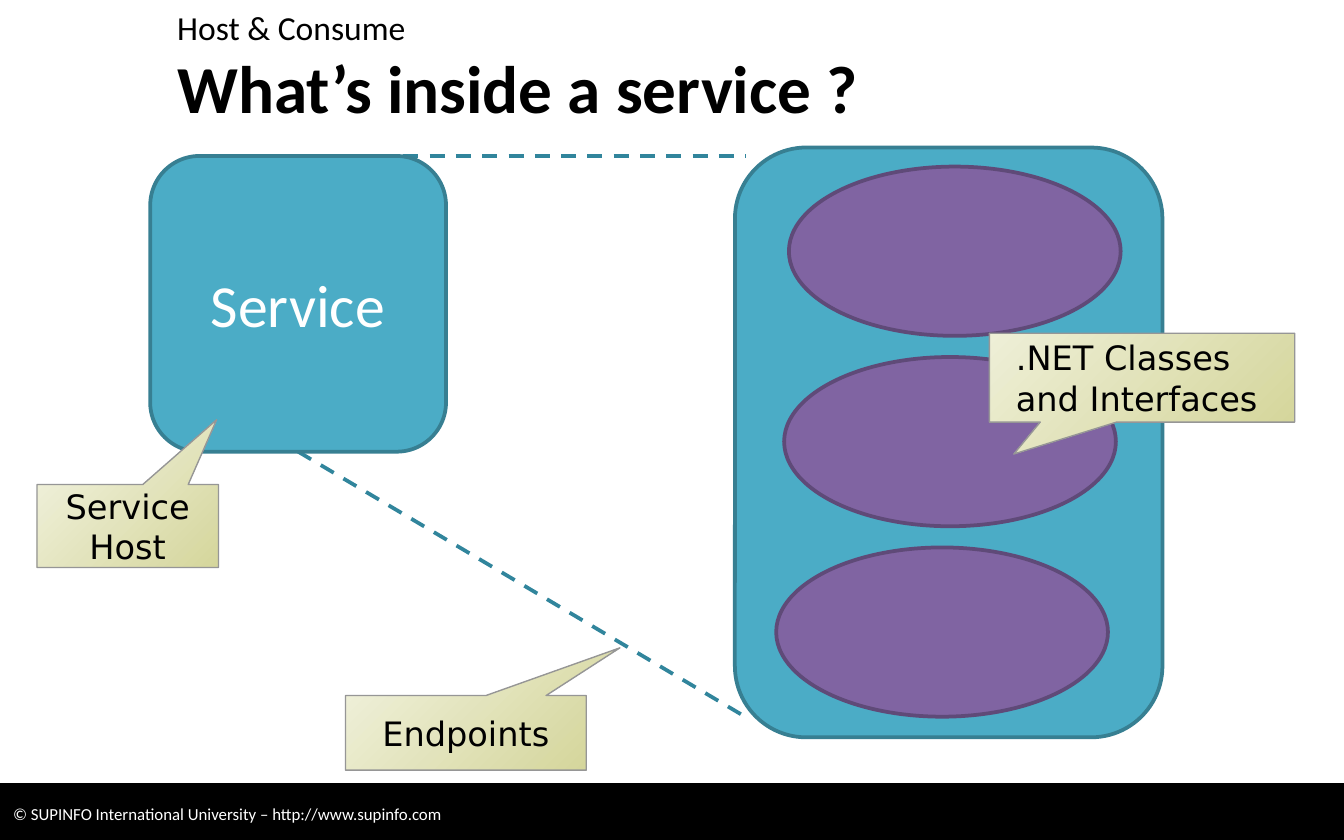
import pptx
import pptx.dml.color
import pptx.enum.dml
import pptx.enum.shapes
import pptx.enum.text
import pptx.oxml.ns
import pptx.util
from lxml import etree

Cm, Pt = pptx.util.Cm, pptx.util.Pt
SHAPE = pptx.enum.shapes.MSO_SHAPE
ALIGN = pptx.enum.text.PP_ALIGN
ANCHOR = pptx.enum.text.MSO_ANCHOR

COLORS = {
    "black": "000000", "white": "FFFFFF",
    "teal": "4BACC6", "teal_edge": "377F92", "dash": "31859C",
    "purple": "8064A2", "purple_edge": "5F4A78",
    "note_light": "EEEFD7", "note_dark": "D5D69C", "note_edge": "969696",
}


def rgb(name):
    return pptx.dml.color.RGBColor.from_string(COLORS[name])


def write(frame, lines, size, color="black", font="Calibri", bold=False,
          align=ALIGN.LEFT, anchor=ANCHOR.MIDDLE):
    frame.word_wrap = True
    frame.vertical_anchor = anchor
    for i, line in enumerate(lines):
        paragraph = frame.paragraphs[0] if i == 0 else frame.add_paragraph()
        paragraph.text = line
        paragraph.alignment = align
        paragraph.font.size = Pt(size)
        paragraph.font.name = font
        paragraph.font.bold = bold
        paragraph.font.color.rgb = rgb(color)


def add_block(slide, kind, box, fill, edge, width=2):
    block = slide.shapes.add_shape(kind, *map(Cm, box))
    block.shadow.inherit = False
    if fill:
        block.fill.solid()
        block.fill.fore_color.rgb = rgb(fill)
    block.line.color.rgb = rgb(edge)
    block.line.width = Pt(width)
    return block


def add_heading(slide, box):
    left, top, width, height = box
    topic_height = 0.94
    title = slide.shapes.add_textbox(
        Cm(left), Cm(top + topic_height), Cm(width), Cm(height - topic_height))
    write(title.text_frame, ["What’s inside a service ?"], 36, bold=True)
    topic = slide.shapes.add_textbox(
        Cm(left), Cm(top), Cm(width), Cm(topic_height))
    write(topic.text_frame, ["Host & Consume"], 18, anchor=ANCHOR.TOP)


def add_footer(slide, box):
    footer = add_block(slide, SHAPE.RECTANGLE, box, "black", "black", 0.75)
    write(footer.text_frame,
          ["© SUPINFO International University – http://www.supinfo.com"],
          9, "white")


def add_inside(slide, box):
    """Opened-up service with its three classes."""
    left, top = box[:2]
    add_block(slide, SHAPE.ROUNDED_RECTANGLE, box, "teal", "teal_edge")
    for row, indent in enumerate((1.02, 0.93, 0.78)):
        oval = (left + indent, top + 0.36 + 3.6 * row, 6.27, 3.2)
        add_block(slide, SHAPE.OVAL, oval, "purple", "purple_edge")


def add_zoom_lines(slide, service, inside):
    """Dashed lines from the service's top and bottom to the opened view."""
    left, top, width, height = service
    start_x, end_x = left + width / 2, inside[0] + 0.21
    ends = ((top, top), (top + height, inside[1] + inside[3] - 0.38))
    for start_y, end_y in ends:
        ray = slide.shapes.add_connector(
            pptx.enum.shapes.MSO_CONNECTOR.STRAIGHT,
            Cm(start_x), Cm(start_y), Cm(end_x), Cm(end_y))
        ray.line.color.rgb = rgb("dash")
        ray.line.width = Pt(2)
        ray.line.dash_style = pptx.enum.dml.MSO_LINE.DASH
        etree.SubElement(ray._element.spPr, pptx.oxml.ns.qn("a:effectLst"))


def add_service(slide, box):
    service = add_block(
        slide, SHAPE.ROUNDED_RECTANGLE, box, "teal", "teal_edge")
    write(service.text_frame, ["Service"], 32, "white", align=ALIGN.CENTER)


def add_note(slide, box, tip, lines, align=ALIGN.CENTER):
    note = add_block(
        slide, SHAPE.RECTANGULAR_CALLOUT, box, None, "note_edge", 0.75)
    note.adjustments[0], note.adjustments[1] = tip
    note.fill.gradient()
    note.fill.gradient_angle = 315
    stops = zip(note.fill.gradient_stops, (0, 1), ("note_light", "note_dark"))
    for stop, position, color in stops:
        stop.position = position
        stop.color.rgb = rgb(color)
    frame = note.text_frame
    frame.margin_left = frame.margin_right = Cm(0.5)
    write(frame, lines, 18, font="DejaVu Sans", align=align)


def main():
    deck = pptx.Presentation()
    deck.slide_width, deck.slide_height = Cm(25.4), Cm(15.88)
    slide = deck.slides.add_slide(deck.slide_layouts[6])

    # Page frame
    add_footer(slide, (0, 14.81, 25.4, 1.14))
    add_heading(slide, (3.1, 0, 21.62, 2.34))

    # Service and its contents
    service = (2.84, 2.95, 5.59, 5.59)
    inside = (13.89, 2.79, 8.08, 11.15)
    add_inside(slide, inside)
    add_zoom_lines(slide, service, inside)
    add_service(slide, service)

    # Notes
    add_note(slide, (18.7, 6.3, 5.77, 1.68), (-0.42, 0.86),
             [".NET Classes", "and Interfaces"], ALIGN.LEFT)
    add_note(slide, (0.7, 9.16, 3.43, 1.57), (0.49, -1.28),
             ["Service", "Host"])
    add_note(slide, (6.53, 13.15, 4.55, 1.41), (0.64, -1.14), ["Endpoints"])

    deck.save("out.pptx")


if __name__ == "__main__":
    main()
